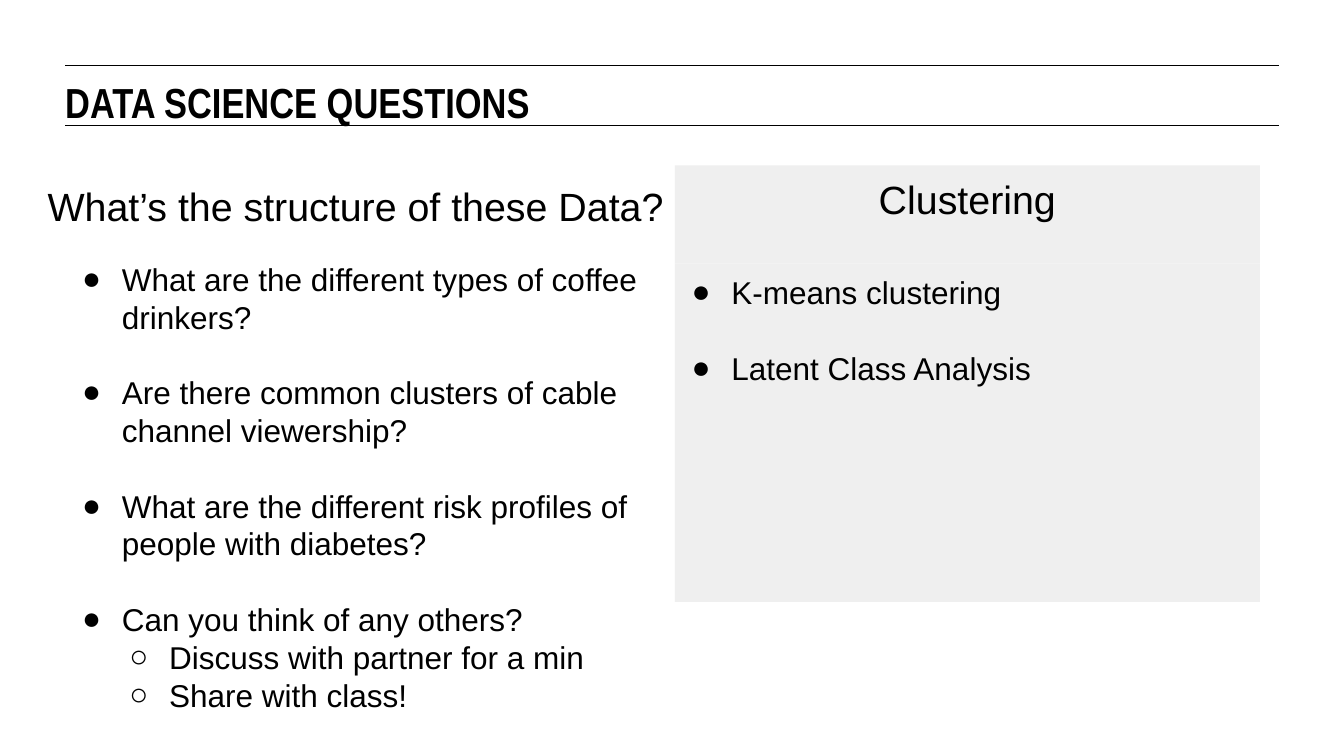
from dataclasses import dataclass

from lxml.etree import SubElement
from pptx import Presentation
from pptx.dml.color import RGBColor
from pptx.enum.shapes import MSO_CONNECTOR, MSO_SHAPE
from pptx.enum.text import MSO_ANCHOR, PP_ALIGN
from pptx.oxml.ns import qn
from pptx.util import Inches, Pt

TITLE = "DATA SCIENCE QUESTIONS"
QUESTION_HEADING = "What’s the structure of these Data?"
METHOD_HEADING = "Clustering"
QUESTIONS = [
    (0, "What are the different types of coffee drinkers?"),
    (0, "Are there common clusters of cable channel viewership?"),
    (0, "What are the different risk profiles of people with diabetes?"),
    (0, "Can you think of any others?"),
    (1, "Discuss with partner for a min"),
    (1, "Share with class!"),
]
METHODS = [(0, "K-means clustering"), (0, "Latent Class Analysis")]
BULLETS = "●○"


@dataclass(frozen=True)
class Theme:
    ink: RGBColor = RGBColor(0x00, 0x00, 0x00)
    panel: RGBColor = RGBColor(0xEF, 0xEF, 0xEF)
    title_font: str = "Arial Narrow"
    body_font: str = "Arial"
    title_size: int = 32
    heading_size: int = 30
    body_size: int = 24
    leading: float = 1.2
    rule_width: float = 0.75


THEME = Theme()
MARGIN, RULE_END = 0.69, 13.53
RULE_TOPS = (0.69, 1.33)
COLUMN_WIDTH, HEADING_HEIGHT = 6.19, 1.04
PANEL_LEFT, PANEL_TOP = 7.14, 1.75
METHODS_TOP = PANEL_TOP + HEADING_HEIGHT


def add_rule(slide, top):
    rule = slide.shapes.add_connector(
        MSO_CONNECTOR.STRAIGHT,
        Inches(MARGIN), Inches(top), Inches(RULE_END), Inches(top))
    rule.line.color.rgb = THEME.ink
    rule.line.width = Pt(THEME.rule_width)
    SubElement(rule._element.spPr, qn("a:effectLst"))


def add_frame(slide, box, filled=False, inset=0.1):
    place = [Inches(length) for length in box]
    if filled:
        holder = slide.shapes.add_shape(MSO_SHAPE.RECTANGLE, *place)
        holder.shadow.inherit = False
        holder.fill.solid()
        holder.fill.fore_color.rgb = THEME.panel
        holder.line.fill.background()
    else:
        holder = slide.shapes.add_textbox(*place)
    frame = holder.text_frame
    frame.word_wrap = True
    frame.vertical_anchor = MSO_ANCHOR.TOP
    frame.margin_left = frame.margin_right = Inches(inset)
    frame.margin_top = frame.margin_bottom = Inches(inset)
    return frame


def write(paragraph, text, size, font=THEME.body_font, align=PP_ALIGN.LEFT, bold=False):
    paragraph.text = text
    paragraph.alignment = align
    paragraph.line_spacing = Pt(size * THEME.leading)
    paragraph.font.name = font
    paragraph.font.size = Pt(size)
    paragraph.font.bold = bold
    paragraph.font.color.rgb = THEME.ink


def add_bullet(paragraph, level):
    paragraph.level = level
    properties = paragraph._p.get_or_add_pPr()
    properties.set("marL", str(Inches(0.5 * (level + 1))))
    properties.set("indent", str(Inches(-0.42)))
    SubElement(properties, qn("a:buFont")).set("typeface", THEME.body_font)
    SubElement(properties, qn("a:buChar")).set("char", BULLETS[level])


def write_list(frame, entries):
    for index, (level, text) in enumerate(entries):
        paragraph = frame.add_paragraph() if index else frame.paragraphs[0]
        add_bullet(paragraph, level)
        write(paragraph, text, THEME.body_size)
        if index and level == 0:
            paragraph.space_before = Pt(THEME.body_size * THEME.leading)


def main():
    deck = Presentation()
    deck.slide_width, deck.slide_height = Inches(14.22), Inches(7.99)
    slide = deck.slides.add_slide(deck.slide_layouts[6])

    for top in RULE_TOPS:
        add_rule(slide, top)

    title = add_frame(slide, (MARGIN, 0.81, 8.44, 0.47), inset=0)
    write(title.paragraphs[0], TITLE, THEME.title_size, THEME.title_font, bold=True)

    write_list(add_frame(slide, (MARGIN, 2.65, COLUMN_WIDTH, 4.3)), QUESTIONS)
    write_list(add_frame(slide, (PANEL_LEFT, METHODS_TOP, COLUMN_WIDTH, 3.58), True), METHODS)

    headings = [
        (QUESTION_HEADING, (0.22, 1.83, 7.09, HEADING_HEIGHT), False),
        (METHOD_HEADING, (PANEL_LEFT, PANEL_TOP, COLUMN_WIDTH, HEADING_HEIGHT), True),
    ]
    for text, box, filled in headings:
        heading = add_frame(slide, box, filled)
        write(heading.paragraphs[0], text, THEME.heading_size, align=PP_ALIGN.CENTER)

    deck.save("out.pptx")


if __name__ == "__main__":
    main()
